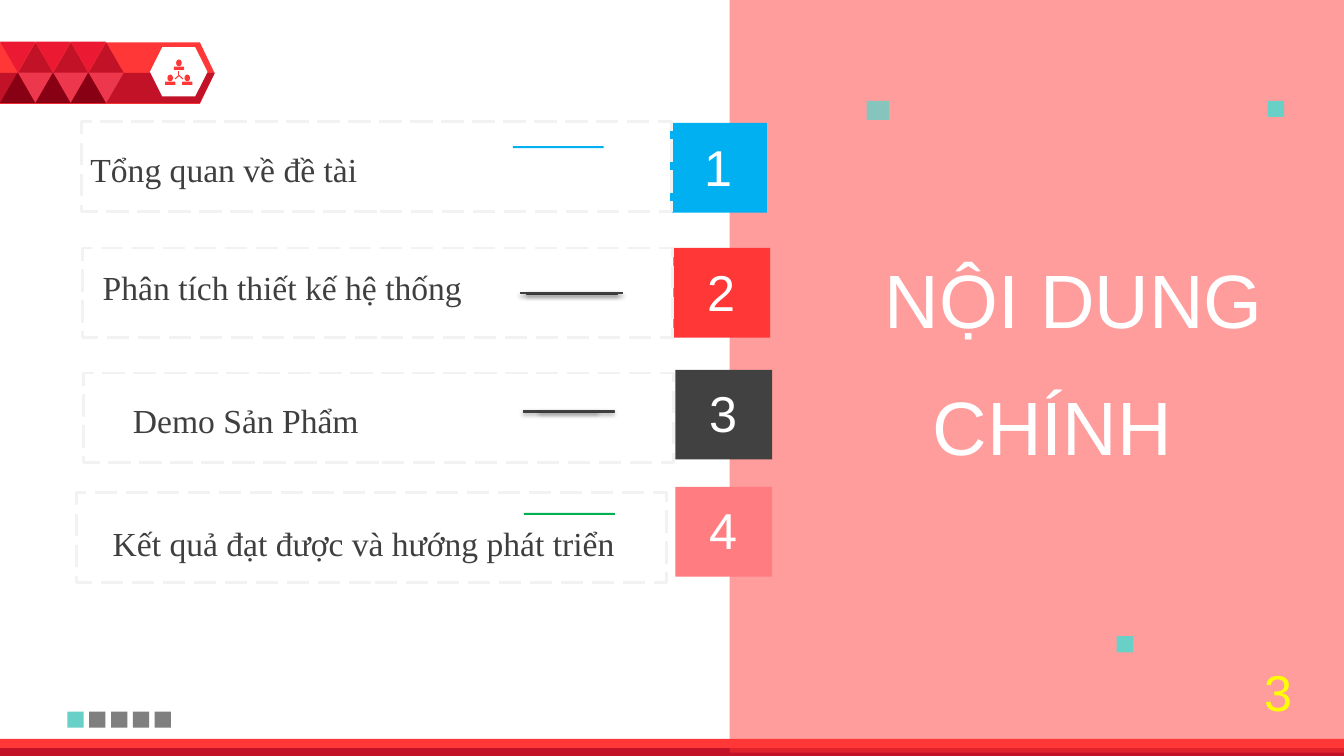
import pptx
import pptx.dml.color
import pptx.enum.dml
import pptx.enum.shapes
import pptx.enum.text
import pptx.oxml
import pptx.oxml.ns
import pptx.util

Cm = pptx.util.Cm
Pt = pptx.util.Pt
RGBColor = pptx.dml.color.RGBColor
SHAPE = pptx.enum.shapes.MSO_SHAPE
ALIGN = pptx.enum.text.PP_ALIGN
ANCHOR = pptx.enum.text.MSO_ANCHOR

WHITE = RGBColor(0xFF, 0xFF, 0xFF)
RED = RGBColor(0xFF, 0x37, 0x37)
DARK_RED = RGBColor(0xC2, 0x12, 0x27)
CRIMSON = RGBColor(0xEB, 0x19, 0x32)
ROSE = RGBColor(0xED, 0x37, 0x4D)
MAROON = RGBColor(0x88, 0x00, 0x14)
SALMON = RGBColor(0xFF, 0x7C, 0x80)
BLUE = RGBColor(0x00, 0xB0, 0xF0)
GREEN = RGBColor(0x00, 0xB0, 0x50)
CHARCOAL = RGBColor(0x41, 0x41, 0x41)
TEXT_GREY = RGBColor(0x3F, 0x3F, 0x3F)
GREY = RGBColor(0x7F, 0x7F, 0x7F)
PALE_GREY = RGBColor(0xF2, 0xF2, 0xF2)
TEAL = RGBColor(0x68, 0xD0, 0xC6)
YELLOW = RGBColor(0xFF, 0xFF, 0x00)

# Content: positions are (left, top) in cm, bar positions are centres
TITLE_LINES = [("NỘI DUNG", 15.14, 6.25), ("CHÍNH", 12.85, 9.45)]
PAGE_NUMBER = "3"
AGENDA = [
    dict(label="Tổng quan về đề tài", label_at=(2.03, 3.63), box_at=(2.06, 3.07),
         tile_at=(16.89, 3.1), tile_color=BLUE,
         bar_center=(14.07, 3.71), bar_widths=(2.29, 1.47), bar_color=BLUE),
    dict(label="Phân tích thiết kế hệ thống", label_at=(2.34, 6.6), box_at=(2.08, 6.25),
         tile_at=(16.97, 6.25), tile_color=RED,
         bar_center=(14.41, 7.39), bar_widths=(2.29, 2.57), bar_color=TEXT_GREY),
    dict(label="Demo Sản Phẩm", label_at=(3.1, 9.96), box_at=(2.11, 9.4),
         tile_at=(17.02, 9.32), tile_color=CHARCOAL,
         bar_center=(14.33, 10.36), bar_widths=(2.29, 1.47), bar_color=TEXT_GREY),
    dict(label="Kết quả đạt được và hướng phát triển", label_at=(2.59, 13.06),
         box_at=(1.93, 12.42), tile_at=(17.02, 12.27), tile_color=SALMON,
         bar_center=(14.35, 12.95), bar_widths=(2.29, 1.47), bar_color=GREEN),
]
SLIDE_WIDTH, SLIDE_HEIGHT = 33.87, 19.05
TILE_SIZE = (2.44, 2.26)
BOX_SIZE = (14.86, 2.26)
BAR_HEIGHTS = (0.05, 0.03)
SQUARE = 0.41

presentation = pptx.Presentation()
presentation.slide_width = Cm(SLIDE_WIDTH)
presentation.slide_height = Cm(SLIDE_HEIGHT)
slide = presentation.slides.add_slide(presentation.slide_layouts[5])
shapes = slide.shapes


def add_child(parent, tag, **attributes):
    child = pptx.oxml.ns.qn(tag)
    element = parent.makeelement(child, {key: str(value) for key, value in attributes.items()})
    parent.append(element)
    return element


def style(shape, color, alpha=None):
    shape.shadow.inherit = False
    shape.fill.solid()
    shape.fill.fore_color.rgb = color
    shape.line.fill.background()
    if alpha:
        color_element = shape.element.spPr.find(".//" + pptx.oxml.ns.qn("a:srgbClr"))
        add_child(color_element, "a:alpha", val=alpha * 1000)
    return shape


def add_block(kind, left, top, width, height, color, alpha=None):
    shape = shapes.add_shape(kind, Cm(left), Cm(top), Cm(width), Cm(height))
    return style(shape, color, alpha)


def add_soft_shadow(shape):
    effects = shape.element.spPr.find(pptx.oxml.ns.qn("a:effectLst"))
    shadow = add_child(effects, "a:outerShdw", blurRad=Pt(3.1), dist=Pt(1.8),
                       dir=5400000, rotWithShape=0)
    color = add_child(shadow, "a:srgbClr", val="000000")
    add_child(color, "a:alpha", val=35000)


def write_text(shape, text, size, color, font="Arial", align=ALIGN.LEFT, anchor=ANCHOR.TOP):
    frame = shape.text_frame
    frame.word_wrap = True
    frame.auto_size = pptx.enum.text.MSO_AUTO_SIZE.NONE
    frame.vertical_anchor = anchor
    paragraph = frame.paragraphs[0]
    paragraph.text = text
    paragraph.alignment = align
    paragraph.font.size = Pt(size)
    paragraph.font.name = font
    paragraph.font.color.rgb = color


def add_textbox(left, top, width, height):
    return shapes.add_textbox(Cm(left), Cm(top), Cm(width), Cm(height))


# Red banner with its lower half in dark red
banner = add_block(SHAPE.PENTAGON, 0, 1.07, 5.41, 1.55, RED)
banner.adjustments[0] = 0.24
builder = shapes.build_freeform(Cm(0), Cm(1.84))
builder.add_line_segments([(Cm(5.41), Cm(1.84)), (Cm(5.03), Cm(2.6)), (Cm(0), Cm(2.6))])
style(builder.convert_to_shape(), DARK_RED)

# People icon in a hexagon
add_block(SHAPE.HEXAGON, 3.78, 1.19, 1.45, 1.24, WHITE)
for center, top in [(4.51, 1.5), (4.29, 1.88), (4.72, 1.88)]:
    add_block(SHAPE.OVAL, center - 0.07, top, 0.14, 0.17, RED)
    add_block(SHAPE.ROUND_2_SAME_RECTANGLE, center - 0.13, top + 0.18, 0.26, 0.08, RED)
for end_x, end_y in [(4.51, 1.8), (4.41, 1.99), (4.61, 1.99)]:
    link = shapes.add_connector(pptx.enum.shapes.MSO_CONNECTOR.STRAIGHT,
                                Cm(4.51), Cm(1.9), Cm(end_x), Cm(end_y))
    link.line.color.rgb = RED
    link.line.width = Pt(0.75)
    add_child(link.element.spPr, "a:effectLst")

# Triangle pattern: two rows, alternating up and down
for column in range(3):
    for shift, top, color, rotation in [(0, 1.05, CRIMSON, 180), (0.45, 1.07, DARK_RED, 0),
                                        (0.45, 1.83, ROSE, 180), (0, 1.83, MAROON, 0)]:
        triangle = add_block(SHAPE.ISOSCELES_TRIANGLE, column * 0.89 + shift, top,
                             0.89, 0.77, color)
        triangle.rotation = rotation

# Bottom strip and right panel
add_block(SHAPE.RECTANGLE, 0, 18.62, SLIDE_WIDTH, 0.41, RED)
add_block(SHAPE.RECTANGLE, 0, 18.85, SLIDE_WIDTH, 0.2, DARK_RED)
add_block(SHAPE.RECTANGLE, 18.39, -0.08, 15.48, SLIDE_HEIGHT, RED, alpha=49)

# Title, brought in front of the panel
title = shapes.title
title.element.getparent().append(title.element)
for index, (line, left, top) in enumerate(TITLE_LINES):
    holder = title if index == 0 else add_textbox(left, top, 16.94, 2.57)
    holder.left, holder.top = Cm(left), Cm(top)
    holder.width, holder.height = Cm(16.94), Cm(2.57)
    write_text(holder, line, size=54, color=WHITE, align=ALIGN.RIGHT)

# Decorative squares
add_block(SHAPE.RECTANGLE, 21.84, 2.54, 0.56, 0.48, TEAL, alpha=80)
for left, top in [(28.14, 16.03), (31.95, 2.54)]:
    add_block(SHAPE.RECTANGLE, left, top, SQUARE, SQUARE, TEAL)
for position in range(5):
    add_block(SHAPE.RECTANGLE, 1.7 + position * 0.55, 17.93, SQUARE, SQUARE,
              GREY if position else TEAL)

# Page number
write_text(add_textbox(31.32, 16.54, 1.5, 1.8), PAGE_NUMBER, size=36, color=YELLOW,
           align=ALIGN.RIGHT)

# Agenda rows
for number, item in enumerate(AGENDA, start=1):
    tile = add_block(SHAPE.RECTANGLE, *item["tile_at"], *TILE_SIZE, item["tile_color"])
    tile.text_frame.margin_top, tile.text_frame.margin_bottom = Cm(0), Cm(0.1)
    write_text(tile, str(number), size=36, color=WHITE, align=ALIGN.CENTER,
               anchor=ANCHOR.MIDDLE)

    box = add_block(SHAPE.RECTANGLE, *item["box_at"], *BOX_SIZE, WHITE)
    box.fill.background()
    box.line.color.rgb = PALE_GREY
    box.line.width = Pt(2)
    box.line.dash_style = pptx.enum.dml.MSO_LINE.LONG_DASH

    center_x, center_y = item["bar_center"]
    for width, height in zip(item["bar_widths"], BAR_HEIGHTS):
        bar = add_block(SHAPE.RECTANGLE, center_x - width / 2, center_y - height / 2,
                        width, height, item["bar_color"])
        if item["bar_color"] == TEXT_GREY:
            bar.line.color.rgb = TEXT_GREY
            bar.line.width = Pt(0.75)
            add_soft_shadow(bar)

    write_text(add_textbox(*item["label_at"], 13.49, 1.27), item["label"], size=24,
               color=TEXT_GREY, font="Times New Roman")

presentation.save("out.pptx")
